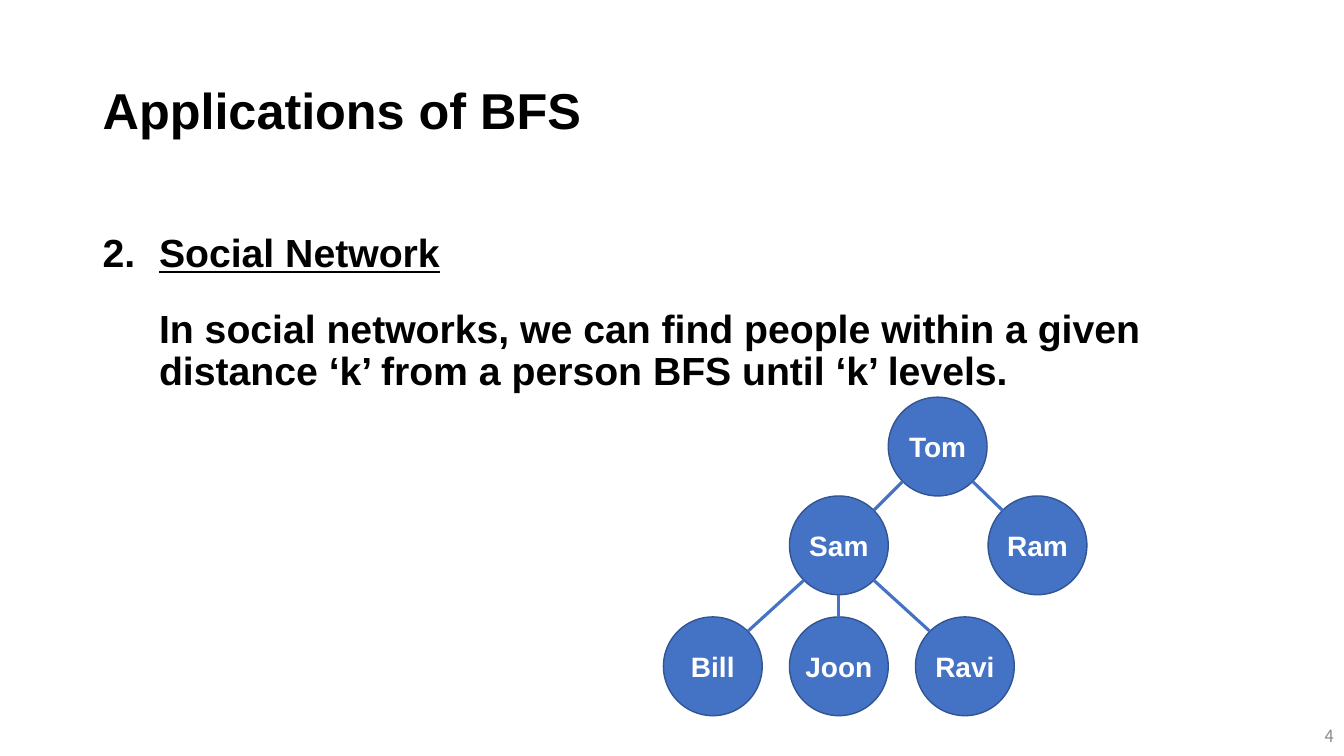
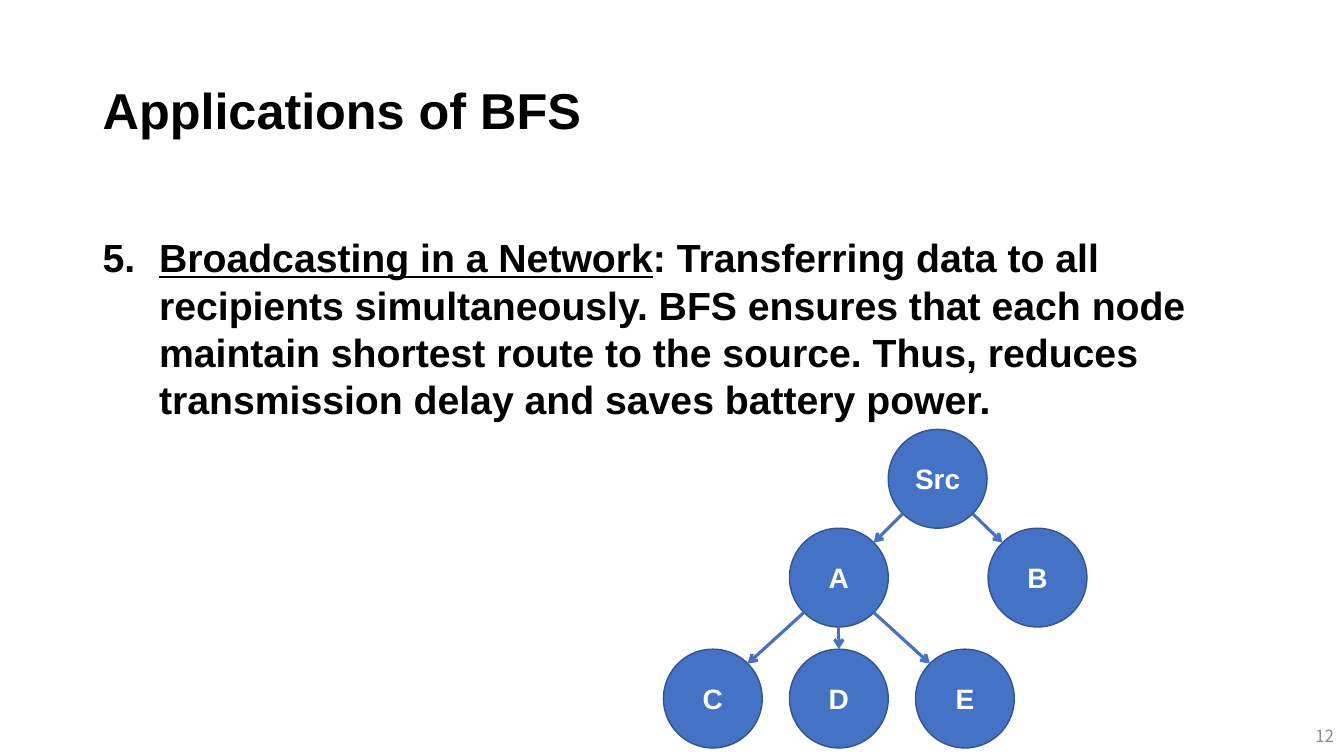
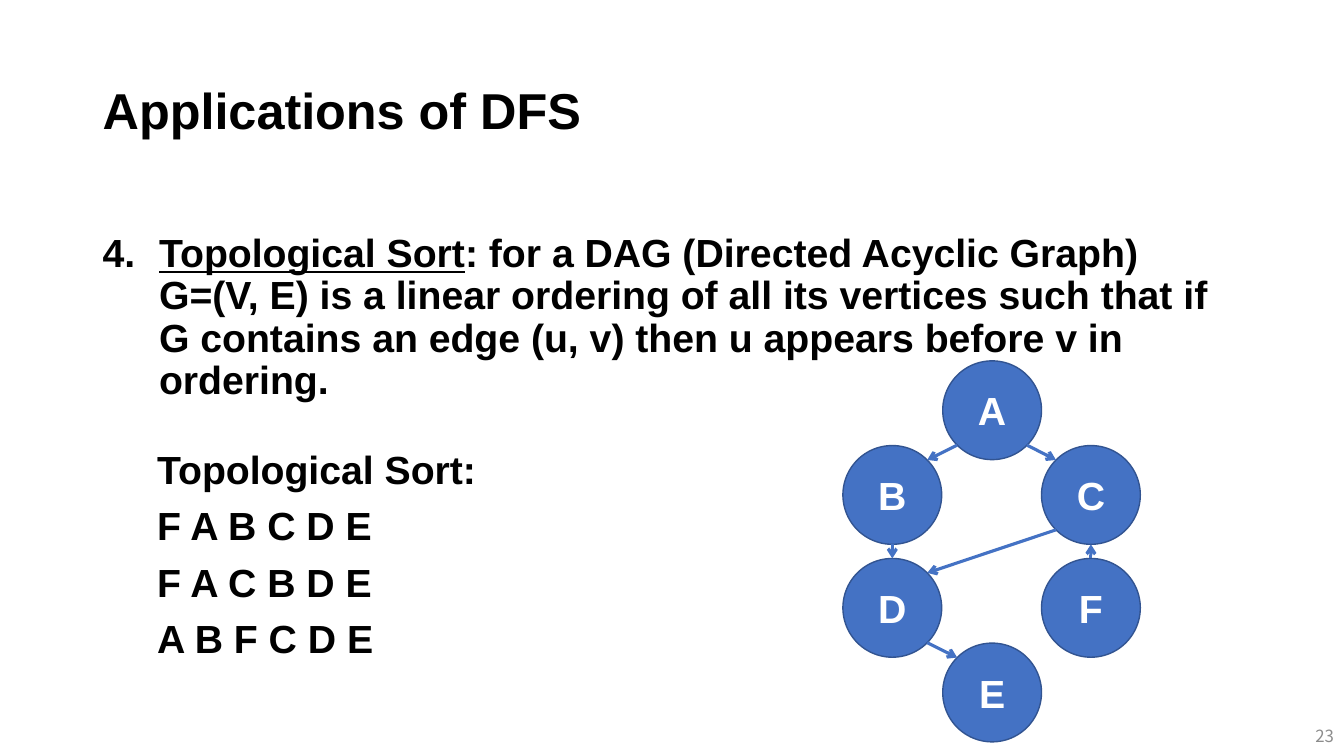
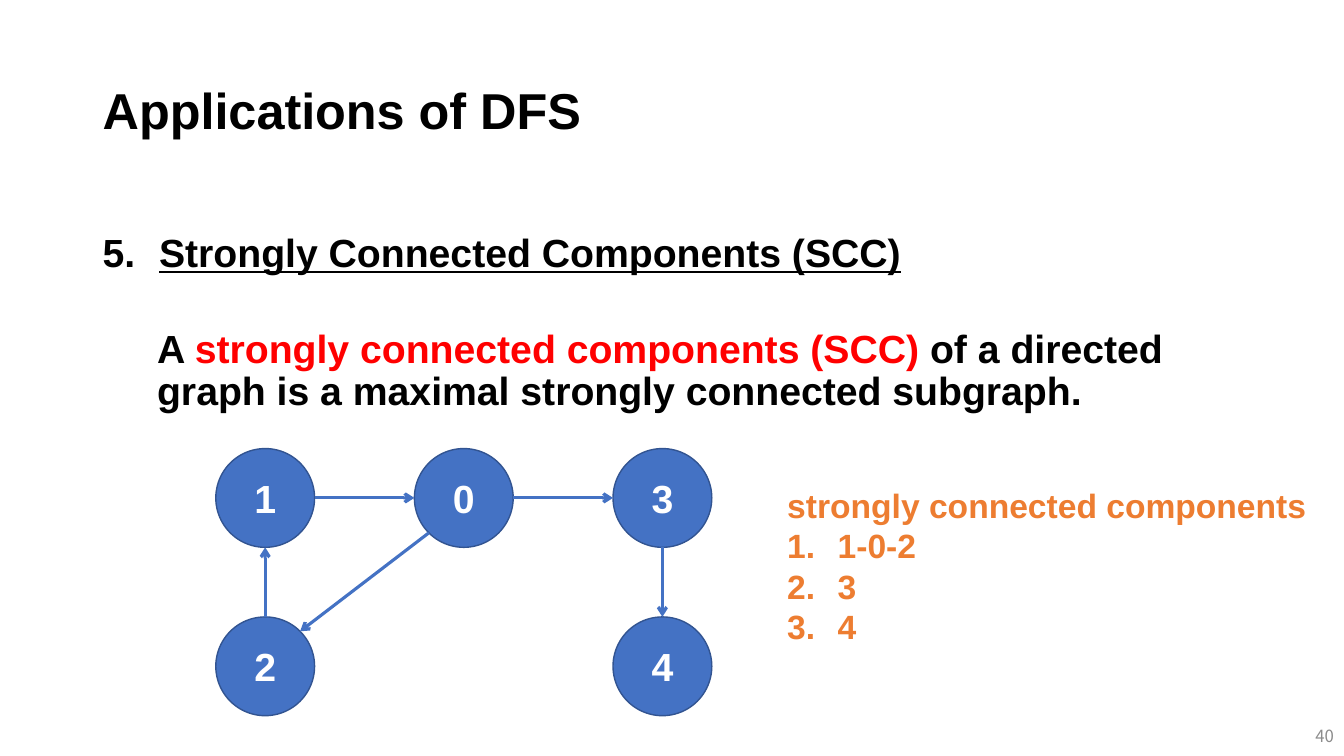
"""Build four slides on the applications of graph search."""
from dataclasses import dataclass
from math import atan2, cos, pi, sin
from typing import Optional

from lxml import etree
from pptx import Presentation
from pptx.dml.color import RGBColor
from pptx.enum.shapes import MSO_CONNECTOR, MSO_SHAPE
from pptx.enum.text import MSO_ANCHOR, PP_ALIGN
from pptx.oxml.ns import qn
from pptx.util import Inches, Pt

OVAL = MSO_SHAPE.OVAL
STRAIGHT = MSO_CONNECTOR.STRAIGHT
TOP, MIDDLE = MSO_ANCHOR.TOP, MSO_ANCHOR.MIDDLE
LEFT, CENTER, RIGHT = PP_ALIGN.LEFT, PP_ALIGN.CENTER, PP_ALIGN.RIGHT


@dataclass(frozen=True)
class Theme:
    font: str = "Arial"
    page_font: str = "Noto Sans CJK KR"
    ink: str = "000000"
    paper: str = "FFFFFF"
    gray: str = "8C8C8C"
    blue: str = "4472C4"
    rim: str = "325491"
    red: str = "FF0000"
    orange: str = "ED7D31"
    title: int = 36
    body: int = 28
    list: int = 24
    name: int = 20
    page: int = 12
    node: float = 0.98
    tight: float = 0.9
    gap: int = 10


THEME = Theme()


@dataclass(frozen=True)
class Box:
    left: float
    top: float
    width: float
    height: float


@dataclass(frozen=True)
class Style:
    size: int = THEME.body
    color: str = THEME.ink
    font: str = THEME.font
    bold: bool = True
    align: PP_ALIGN = LEFT
    lead: Optional[float] = THEME.tight
    gap: int = THEME.gap


@dataclass(frozen=True)
class Bit:
    text: str
    color: Optional[str] = None
    under: bool = False


@dataclass(frozen=True)
class Para:
    bits: tuple[Bit, ...]
    start: int = 0
    indent: float = 0.56


@dataclass(frozen=True)
class Node:
    name: str
    left: float
    top: float


@dataclass(frozen=True)
class Graph:
    nodes: tuple[Node, ...]
    edges: tuple[tuple[str, str], ...]
    size: int = THEME.body
    arrow: bool = True


@dataclass(frozen=True)
class Text:
    box: Box
    paras: tuple[Para, ...]
    style: Style = Style()


@dataclass(frozen=True)
class Page:
    title: str
    number: str
    texts: tuple[Text, ...]
    graph: Graph


HEAD = Style(size=THEME.title)
FOOT = Style(THEME.page, THEME.gray, THEME.page_font, False, RIGHT, None)
LOOSE = Style(lead=None)
LIST = Style(THEME.list, THEME.orange, lead=None, gap=0)


def plain(text: str, start: int = 0, indent: float = 0.56) -> Para:
    return Para((Bit(text),), start, indent)


def topic(start: int, name: str, rest: str = "") -> Para:
    bits = (Bit(name, under=True),)
    return Para(bits + (Bit(rest),) if rest else bits, start)


def point(box_top: float, height: float, para: Para, style: Style = Style()) -> Text:
    return Text(Box(0.92, box_top, 11.5, height), (para,), style)


def fill_text(frame, paras: tuple[Para, ...], style: Style) -> None:
    for i, para in enumerate(paras):
        line = frame.paragraphs[0] if i == 0 else frame.add_paragraph()
        if para.start:
            props = line._p.get_or_add_pPr()
            props.set("marL", str(Inches(para.indent)))
            props.set("indent", str(-Inches(para.indent)))
            mark = etree.SubElement(props, qn("a:buAutoNum"), type="arabicPeriod")
            if para.start > 1:
                mark.set("startAt", str(para.start))
        line.alignment = style.align
        if style.lead:
            line.line_spacing = style.lead
        if i and style.gap:
            line.space_before = Pt(style.gap)
        font = line.font
        font.name, font.size, font.bold = style.font, Pt(style.size), style.bold
        font.color.rgb = RGBColor.from_string(style.color)
        for bit in para.bits:
            run = line.add_run()
            run.text = bit.text
            if bit.under:
                run.font.underline = True
            if bit.color:
                run.font.color.rgb = RGBColor.from_string(bit.color)


def add_text(slide, text: Text, anchor: MSO_ANCHOR = TOP) -> None:
    box = text.box
    shape = slide.shapes.add_textbox(
        Inches(box.left), Inches(box.top), Inches(box.width), Inches(box.height))
    frame = shape.text_frame
    frame.word_wrap = True
    frame.vertical_anchor = anchor
    fill_text(frame, text.paras, text.style)


def add_node(slide, node: Node, size: int):
    side = Inches(THEME.node)
    shape = slide.shapes.add_shape(OVAL, Inches(node.left), Inches(node.top), side, side)
    shape.shadow.inherit = False
    shape.fill.solid()
    shape.fill.fore_color.rgb = RGBColor.from_string(THEME.blue)
    shape.line.color.rgb = RGBColor.from_string(THEME.rim)
    shape.line.width = Pt(1)
    frame = shape.text_frame
    frame.margin_left = frame.margin_right = 0
    frame.vertical_anchor = MIDDLE
    style = Style(size, THEME.paper, align=CENTER, lead=None)
    fill_text(frame, (plain(node.name),), style)
    return shape


def site_at(node: Node, site: int) -> tuple[int, int]:
    half, turn = THEME.node / 2, site * pi / 4
    return (Inches(node.left + half - half * sin(turn)),
            Inches(node.top + half - half * cos(turn)))


def add_edge(slide, first: Node, last: Node, ids: tuple[int, int], arrow: bool) -> None:
    angle = atan2(first.left - last.left, first.top - last.top)
    site = round(angle / (pi / 4)) % 8
    back = (site + 4) % 8
    line = slide.shapes.add_connector(STRAIGHT, *site_at(first, site), *site_at(last, back))
    line.line.color.rgb = RGBColor.from_string(THEME.blue)
    line.line.width = Pt(2.25)
    if arrow:
        etree.SubElement(line.line._get_or_add_ln(), qn("a:tailEnd"), type="arrow")
    etree.SubElement(line._element.spPr, qn("a:effectLst"))
    joint = line._element.find(".//" + qn("p:cNvCxnSpPr"))
    for tag, key, spot in zip(("a:stCxn", "a:endCxn"), ids, (site, back)):
        etree.SubElement(joint, qn(tag), id=str(key), idx=str(spot))


def add_graph(slide, graph: Graph) -> None:
    nodes = {node.name: node for node in graph.nodes}
    ids = {node.name: add_node(slide, node, graph.size).shape_id for node in graph.nodes}
    for first, last in graph.edges:
        add_edge(slide, nodes[first], nodes[last], (ids[first], ids[last]), graph.arrow)


def tree(top: float, names: tuple[str, ...], arrow: bool) -> Graph:
    spots = ((8.81, 0), (7.83, 0.98), (9.8, 0.98), (6.58, 2.18), (7.83, 2.18), (9.08, 2.18))
    nodes = tuple(Node(name, x, top + y) for name, (x, y) in zip(names, spots))
    links = ((0, 1), (0, 2), (1, 3), (1, 4), (1, 5))
    edges = tuple((names[a], names[b]) for a, b in links)
    return Graph(nodes, edges, THEME.name, arrow)


def pairs(text: str) -> tuple[tuple[str, str], ...]:
    return tuple((pair[0], pair[1]) for pair in text.split())


SORT = Graph(
    (Node("A", 9.35, 3.58), Node("B", 8.36, 4.42), Node("C", 10.33, 4.42),
     Node("D", 8.36, 5.54), Node("F", 10.33, 5.54), Node("E", 9.35, 6.38)),
    pairs("AB AC BD CD DE FC"))

PARTS = Graph(
    (Node("1", 2.14, 4.45), Node("0", 4.11, 4.45), Node("3", 6.08, 4.45),
     Node("2", 2.14, 6.12), Node("4", 6.08, 6.12)),
    pairs("10 03 02 21 34"))

PAGES = (
    Page("Applications of BFS", "4", (
        point(2.27, 0.53, topic(2, "Social Network")),
        Text(Box(1.48, 3.02, 10.94, 1.69), (plain(
            "In social networks, we can find people within a given distance ‘k’ "
            "from a person BFS until ‘k’ levels."),)),
    ), tree(3.94, ("Tom", "Sam", "Ram", "Bill", "Joon", "Ravi"), False)),
    Page("Applications of BFS", "12", (
        point(2.27, 2.55, topic(
            5, "Broadcasting in a Network",
            ": Transferring data to all recipients simultaneously. BFS ensures that "
            "each node maintain shortest route to the source. Thus, reduces "
            "transmission delay and saves battery power."), LOOSE),
    ), tree(4.26, ("Src", "A", "B", "C", "D", "E"), True)),
    Page("Applications of DFS", "23", (
        point(2.27, 1.8, topic(
            4, "Topological Sort",
            ": for a DAG (Directed Acyclic Graph) G=(V, E) is a linear ordering of all "
            "its vertices such that if G contains an edge (u, v) then u appears "
            "before v in ordering.")),
        Text(Box(1.46, 4.42, 4.82, 2.69), tuple(plain(row) for row in (
            "Topological Sort:", "F A B C D E", "F A C B D E", "A B F C D E"))),
    ), SORT),
    Page("Applications of DFS", "40", (
        point(2.27, 0.53, topic(5, "Strongly Connected Components (SCC)")),
        Text(Box(1.46, 3.22, 10.49, 2.69), (Para((
            Bit("A "), Bit("strongly connected components (SCC)", THEME.red),
            Bit(" of a directed graph is a maximal strongly connected subgraph."))),)),
        Text(Box(7.71, 4.76, 5.4, 1.72), (
            plain("strongly connected components"),
            *(plain(row, 1, 0.5) for row in ("1-0-2", "3", "4"))), LIST),
    ), PARTS),
)


def add_page(deck, page: Page) -> None:
    slide = deck.slides.add_slide(deck.slide_layouts[6])
    add_text(slide, Text(Box(0.92, 0.4, 11.5, 1.45), (plain(page.title),), HEAD), MIDDLE)
    add_text(slide, Text(Box(10.33, 7.1, 3, 0.4), (plain(page.number),), FOOT), MIDDLE)
    for text in page.texts:
        add_text(slide, text)
    add_graph(slide, page.graph)


def main() -> None:
    deck = Presentation()
    deck.slide_width, deck.slide_height = Inches(13.33), Inches(7.5)
    for page in PAGES:
        add_page(deck, page)
    deck.save("out.pptx")


if __name__ == "__main__":
    main()
